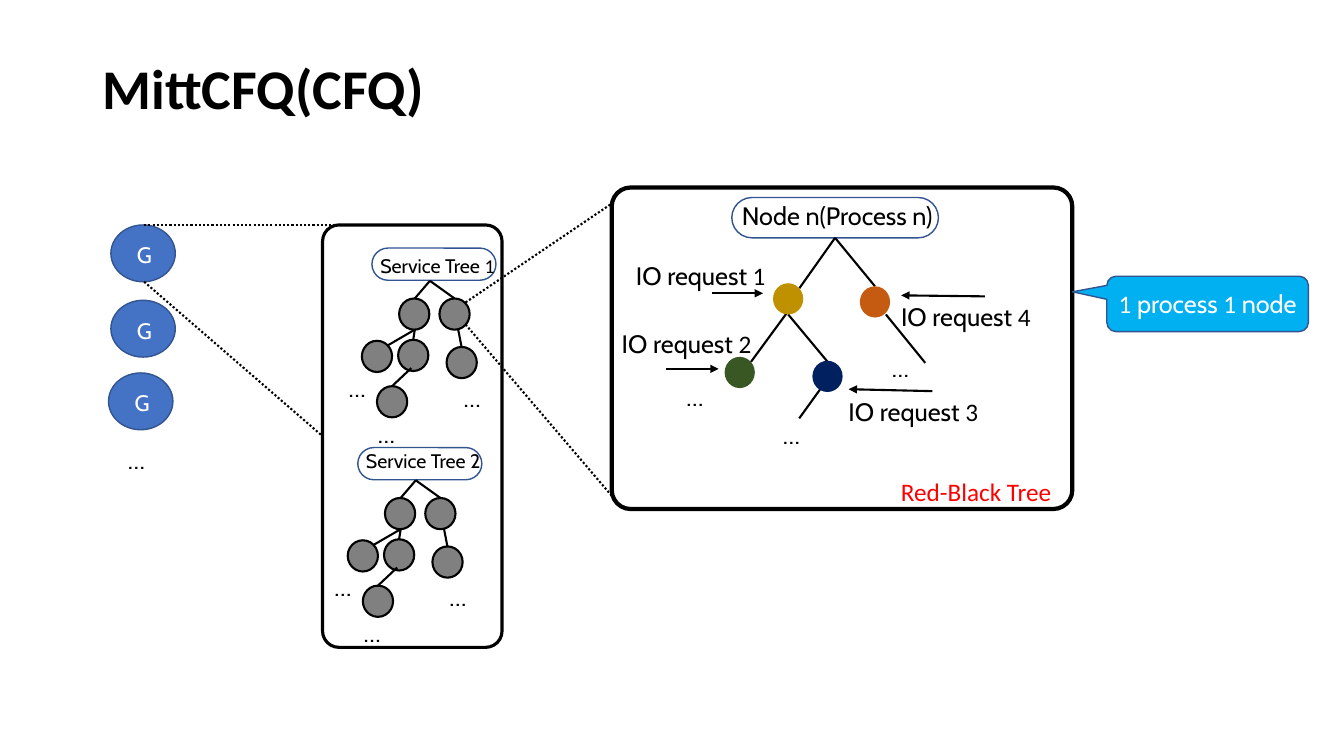
from lxml import etree
from pptx import Presentation
from pptx.dml.color import RGBColor
from pptx.enum import dml, shapes, text as tx
from pptx.oxml.ns import qn
from pptx.util import Pt

COLORS = {
    "black": "000000", "white": "FFFFFF", "group": "4472C4", "outline": "325491",
    "gray": "808080", "callout": "00B0F0", "red": "FF0000", "gold": "BF9000",
    "orange": "C55A11", "green": "385723", "navy": "002060",
}
SHAPE = shapes.MSO_SHAPE
NODE = (21.6, 22.3)


def rgb(name):
    return RGBColor.from_string(COLORS[name])


def write(frame, content, size=18, color="black", font="Cabin", bold=False,
          align=tx.PP_ALIGN.LEFT):
    """Content is a string, or a list of (string, font) runs."""
    para = frame.paragraphs[0]
    para.alignment = align
    for part, face in [(content, font)] if isinstance(content, str) else content:
        run = para.add_run()
        run.text = part
        run.font.name, run.font.size, run.font.bold = face, Pt(size), bold
        run.font.color.rgb = rgb(color)
    return para


def label(slide, x, y, content, width=61.2, height=26.6, **style):
    frame = slide.shapes.add_textbox(Pt(x), Pt(y), Pt(width), Pt(height)).text_frame
    frame.word_wrap = True
    write(frame, content, **style)


def draw(slide, kind, box, fill=None, line=None, weight=1, adjust=()):
    part = slide.shapes.add_shape(kind, *map(Pt, box))
    part.shadow.inherit = False
    if fill:
        part.fill.solid()
        part.fill.fore_color.rgb = rgb(fill)
    else:
        part.fill.background()
    if line:
        part.line.color.rgb = rgb(line)
        part.line.width = Pt(weight)
    else:
        part.line.fill.background()
    for i, value in enumerate(adjust):
        part.adjustments[i] = value
    return part


def caption(part, content, left=0, drop=0, **style):
    """Centred text inside a shape, shifted down by drop points."""
    frame = part.text_frame
    frame.word_wrap = False
    frame.vertical_anchor = tx.MSO_ANCHOR.MIDDLE
    frame.margin_left, frame.margin_right = Pt(left), 0
    frame.margin_top, frame.margin_bottom = Pt(max(0, 2 * drop)), Pt(max(0, -2 * drop))
    write(frame, content, align=tx.PP_ALIGN.CENTER, **style)


def connect(slide, start, end, dotted=False, arrow=False):
    link = slide.shapes.add_connector(
        shapes.MSO_CONNECTOR.STRAIGHT, *map(Pt, (*start, *end)))
    link.line.color.rgb = rgb("black")
    link.line.width = Pt(1.5)
    if dotted:
        link.line.dash_style = dml.MSO_LINE.ROUND_DOT
    properties = link._element.spPr
    if arrow:
        etree.SubElement(properties.find(qn("a:ln")), qn("a:tailEnd"), type="triangle")
    etree.SubElement(properties, qn("a:effectLst"))
    return link


def add_title(slide, box):
    title = slide.shapes.title
    title.left, title.top, title.width, title.height = map(Pt, box)
    title.text_frame.vertical_anchor = tx.MSO_ANCHOR.MIDDLE
    para = write(title.text_frame, "MittCFQ(CFQ)", size=40, font="Calibri", bold=True)
    para.line_spacing = 0.9


def add_groups(slide, box):
    x, y, w, h = box
    for dx, dy in [(0, 0), (0, 53.8), (-1.7, 105.7)]:
        group = draw(slide, SHAPE.OVAL, (x + dx, y + dy, w, h), "group", "outline")
        caption(group, "G", left=2, drop=1, size=16, color="white")
    label(slide, x + 5, y + 153.2, "…", width=32.4)


def add_service_tree(slide, box, name, drop):
    x, y, w, h = box
    pill = draw(slide, SHAPE.ROUNDED_RECTANGLE, box, line="outline", adjust=[0.5])
    caption(pill, name, left=5, drop=drop, size=14)
    for dx, dy in [(19.4, 36), (48.2, 36), (-7.2, 66.2), (18.7, 65.5),
                   (3.6, 98.6), (53.3, 70.6)]:
        draw(slide, SHAPE.OVAL, (x + dx, y + dy, *NODE), "gray", "black", 1.5)
    root, left_node = (41.4, 23.4), (30.6, 58.3)
    for (x1, y1), (x2, y2) in [
            (root, (30.6, 36)), (root, (59, 36)), (left_node, (29.5, 65.5)),
            (left_node, (10.8, 69.8)), ((61.6, 58.3), (64, 70.6)),
            ((28.1, 85.7), (14.4, 98.6))]:
        connect(slide, (x + x1, y + y1), (x + x2, y + y2))
    for dx, dy in [(58.3, 92.2), (-2.9, 118), (-23.8, 85)]:
        label(slide, x + dx, y + dy, "…")


def add_service_panel(slide, box):
    x, y, w, h = box
    panel = draw(slide, SHAPE.ROUNDED_RECTANGLE, box, line="black", weight=2.25,
                 adjust=[0.091])
    add_service_tree(slide, (x + 35.3, y + 16.5, 88.6, 23),
                     [("Service Tree ", "Cabin"), ("1", "Calibri")], drop=1.4)
    add_service_tree(slide, (x + 25.2, y + 159, 88.6, 23), "Service Tree 2", drop=-2.2)
    return panel


def add_process_panel(slide, box):
    x, y, w, h = box
    draw(slide, SHAPE.ROUNDED_RECTANGLE, box, line="black", weight=3, adjust=[0.059])
    process = draw(slide, SHAPE.ROUNDED_RECTANGLE, (x + 85.7, y + 7.2, 147.6, 28.8),
                   line="outline", adjust=[0.5])
    caption(process, "Node n(Process n)", left=3, drop=-1.4)

    # Red-black tree edges and nodes
    top = (159.5, 36)
    for (x1, y1), (x2, y2) in [
            (top, (134, 72)), (top, (188, 70.6)), ((125.3, 89.3), (99.4, 124.6)),
            ((126, 90.7), (154.8, 125.3)), ((149, 144), (133.9, 164.9)),
            ((195.8, 90.7), (223.9, 125.3))]:
        edge = connect(slide, (x + x1, y + y1), (x + x2, y + y2))
        if (x1, y1) == top:
            edge.begin_connect(process, 2)
    for color, dx, dy in [("gold", 115.2, 68.4), ("orange", 177.2, 70.6),
                          ("green", 80.6, 121), ("navy", 143.3, 123.8)]:
        draw(slide, SHAPE.OVAL, (x + dx, y + dy, *NODE), color)
    for dx, dy in [(46.1, 134.6), (115.2, 162), (193, 114.5)]:
        label(slide, x + dx, y + dy, "…")

    # IO requests, each with an arrow placed from its label
    for number, dx, dy, start, end in [
            ("1", 10.1, 48.3, (61.2, 27.3), (97.9, 27.3)),
            ("2", 0, 97.2, (38.9, 32.4), (76.4, 32.4)),
            ("3", 162, 145.5, (67, 0), (7.2, -1.4)),
            ("4", 199.5, 77.8, (67, 0), (7.2, -0.7))]:
        left, upper = x + dx, y + dy
        label(slide, left, upper, [("IO request ", "Cabin"), (number, "Calibri")],
              width=123.8)
        connect(slide, (left + start[0], upper + start[1]),
                (left + end[0], upper + end[1]), arrow=True)
    label(slide, x + 199.5, y + 203, "Red-Black Tree", width=155.5, height=28.8,
          color="red", font="Calibri")


def add_callout(slide, box):
    callout = draw(slide, SHAPE.ROUNDED_RECTANGULAR_CALLOUT, box, "callout", "outline",
                   adjust=[-0.67, -0.218, 0.167])
    caption(callout, [("1 ", "Calibri"), ("process ", "Cabin"), ("1 ", "Calibri"),
                      ("node", "Cabin")], drop=-0.5, color="white")


def main():
    deck = Presentation()
    deck.slide_width, deck.slide_height = Pt(960), Pt(540)
    slide = deck.slides.add_slide(deck.slide_layouts[5])
    add_title(slide, (66, 29, 828, 72))
    add_groups(slide, (79.2, 160.7, 46, 40.6))
    service = add_service_panel(slide, (230.4, 160.7, 128.2, 301.7))
    add_process_panel(slide, (437, 133.9, 329, 229.7))
    add_callout(slide, (790.6, 197.3, 144, 39.6))

    # Dotted zoom lines between the regions
    connect(slide, (103, 160.7), (256.3, 160.7), dotted=True)
    zoom = connect(slide, (103, 201.3), (230.4, 311.5), dotted=True)
    zoom.end_connect(service, 1)
    connect(slide, (332.6, 216), (437, 145.4), dotted=True)
    connect(slide, (332.6, 231.8), (437, 354.2), dotted=True)
    deck.save("out.pptx")


if __name__ == "__main__":
    main()
